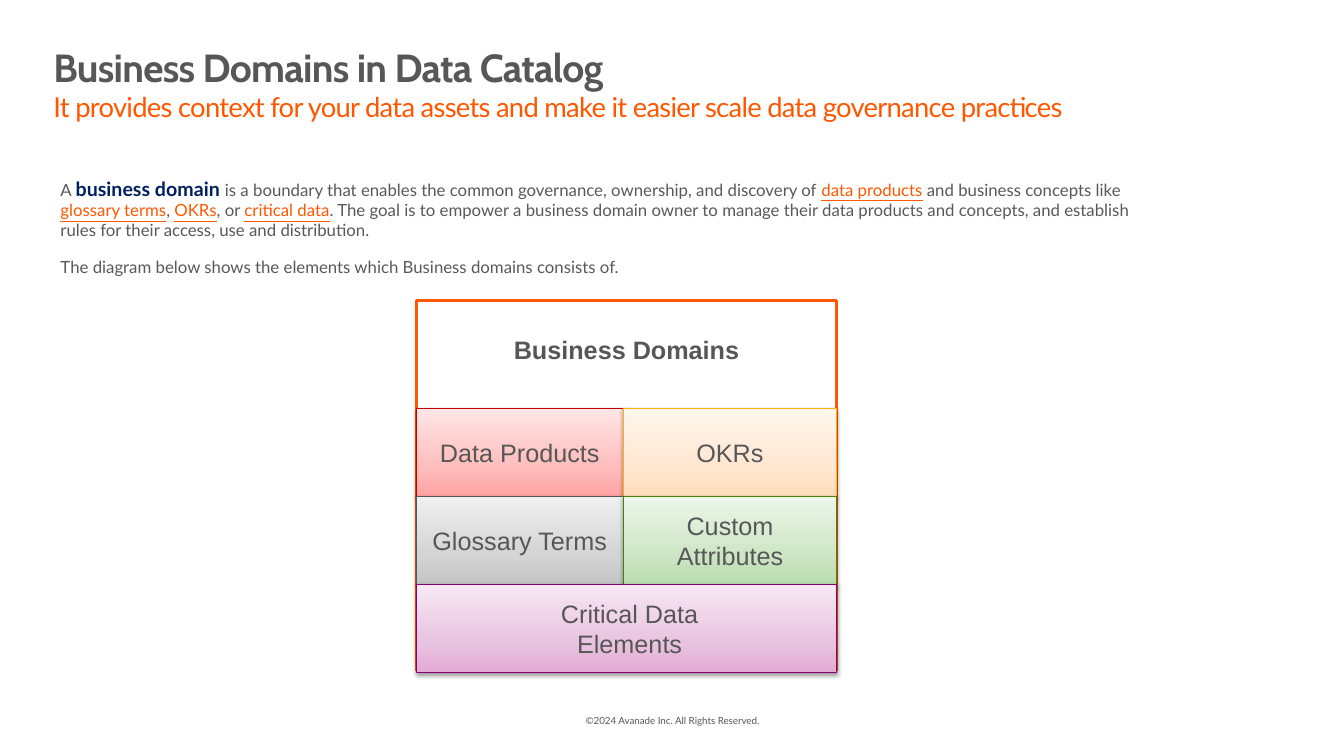
from copy import deepcopy

from lxml import etree
from pptx import Presentation
from pptx.dml.color import RGBColor
from pptx.enum import shapes, text
from pptx.oxml import ns
from pptx.util import Inches, Pt

COLORS = {
    "white": "FFFFFF",
    "black": "000000",
    "gray": "575757",
    "body": "595959",
    "navy": "002060",
    "orange": "FF5700",
    "link": "FF5800",
}
TILES = [
    ("Data Products", 0, 0, 1, "C40000", ["FFA3A3", "FFBEBE", "FFE6E6"]),
    ("OKRs", 0, 1, 2, "FFB10E", ["FFDDBD", "FFE7D1", "FFF6EE"]),
    ("Glossary Terms", 1, 0, 1, "555555", ["C3C3C3", "D5D5D5", "EFEFEF"]),
    ("Custom Attributes", 1, 1, 2, "468007", ["B9DCAD", "CEE6C6", "ECF6E9"]),
    ("Critical Data Elements", 2, 0, 2, "860075", ["E2AAD4", "E9C4E0", "F7E8F3"]),
]
DEFINITION = [
    ("A ", "plain"),
    ("business domain ", "term"),
    ("is a boundary that enables the common governance, ownership, and discovery of ", "plain"),
    ("data products", "link"),
    (" and business concepts like ", "plain"),
    ("glossary terms", "link"),
    (", ", "plain"),
    ("OKRs", "link"),
    (", or ", "plain"),
    ("critical data", "link"),
    (". The goal is to empower a business domain owner to manage their data products and "
     "concepts, and establish rules for their access, use and distribution. ", "plain"),
]


def rgb(name):
    return RGBColor.from_string(COLORS.get(name, name))


def style(font, name, size, color, bold=False):
    font.name, font.size, font.bold = name, Pt(size), bold
    font.color.rgb = rgb(color)


def place(shape, left, top, width, height):
    shape.left, shape.top = Inches(left), Inches(top)
    shape.width, shape.height = Inches(width), Inches(height)


def add_box(slide, left, top, width, height, label, size, font_name, bold=False):
    shape = slide.shapes.add_shape(shapes.MSO_SHAPE.RECTANGLE, Inches(left), Inches(top),
                                   Inches(width), Inches(height))
    shape.shadow.inherit = False
    shape.fill.solid()
    shape.fill.fore_color.rgb = rgb("white")
    shape.line.fill.background()
    frame = shape.text_frame
    frame.word_wrap = True
    frame.vertical_anchor = text.MSO_ANCHOR.MIDDLE
    paragraph = frame.paragraphs[0]
    paragraph.text = label
    paragraph.alignment = text.PP_ALIGN.CENTER
    style(paragraph.font, font_name, size, "gray", bold)
    return shape


def set_line(shape, color, width):
    shape.line.color.rgb = rgb(color)
    shape.line.width = Pt(width)


def set_gradient(shape, colors):
    shape.fill.gradient()
    shape.fill.gradient_angle = 90
    stop_list = shape.element.spPr.find(".//" + ns.qn("a:gsLst"))
    stop_list.append(deepcopy(stop_list[-1]))
    for stop, position, color in zip(shape.fill.gradient_stops, (0, 0.35, 1), colors):
        stop.position = position
        stop.color.rgb = rgb(color)


def add_shadow(shape):
    effects = shape.element.spPr.find(ns.qn("a:effectLst"))
    shadow = etree.SubElement(effects, ns.qn("a:outerShdw"), blurRad=str(Pt(3.1)),
                              dist=str(Pt(1.6)), dir="5400000", rotWithShape="0")
    color = etree.SubElement(shadow, ns.qn("a:srgbClr"), val=COLORS["black"])
    etree.SubElement(color, ns.qn("a:alpha"), val="38000")


def add_heading(slide, left, top, width, height):
    title = slide.shapes.title
    place(title, left, top, width, height)
    frame = title.text_frame
    frame.auto_size = text.MSO_AUTO_SIZE.NONE
    frame.vertical_anchor = text.MSO_ANCHOR.TOP
    paragraph = frame.paragraphs[0]
    paragraph.alignment = text.PP_ALIGN.LEFT
    heading = paragraph.add_run()
    heading.text = "Business Domains in Data Catalog"
    style(heading.font, "Cabin", 28, "gray", True)
    paragraph.add_line_break()
    subtitle = paragraph.add_run()
    subtitle.text = ("It provides context for your data assets and make it easier "
                     "scale data governance practices")
    style(subtitle.font, "Lato", 19.6, "orange")
    for run in paragraph.runs:
        run.font._element.set("spc", "-50")


def add_description(slide, left, top, width, height):
    body = slide.placeholders[1]
    place(body, left, top, width, height)
    frame = body.text_frame
    frame.auto_size = text.MSO_AUTO_SIZE.NONE
    frame.vertical_anchor = text.MSO_ANCHOR.TOP
    definition, lead_in = frame.paragraphs[0], frame.add_paragraph()
    for paragraph in (definition, lead_in):
        properties = paragraph._p.get_or_add_pPr()
        properties.set("marL", "0")
        properties.set("indent", "0")
        etree.SubElement(properties, ns.qn("a:buNone"))
    definition.space_before, definition.space_after = Pt(0), Pt(6)
    lead_in.space_before = Pt(6)
    looks = {"plain": (12, "body"), "term": (14, "navy"), "link": (12, "link")}
    for words, kind in DEFINITION:
        run = definition.add_run()
        run.text = words
        style(run.font, "Lato", *looks[kind], bold=kind == "term")
        if kind == "link":
            run.font.underline = True
    lead_in.text = "The diagram below shows the elements which Business domains consists of."
    style(lead_in.font, "Lato", 12, "body")


def add_domain_diagram(slide, left, top, width, height):
    frame = add_box(slide, left, top, width, height, "Business Domains", 18, "Arial", True)
    set_line(frame, "link", 2)
    frame.text_frame.vertical_anchor = text.MSO_ANCHOR.TOP
    frame.text_frame.margin_top = Inches(0.34)
    header_height, tile_height = 1.07, 0.875
    edges = [0, 2.05, width]
    for label, row, first, last, line_color, gradient in TILES:
        tile = add_box(slide, left + edges[first], top + header_height + row * tile_height,
                       edges[last] - edges[first], tile_height, label, 18, "Arial")
        set_line(tile, line_color, 0.75)
        set_gradient(tile, gradient)
        add_shadow(tile)
        if last - first == 2:
            tile.text_frame.margin_left = Inches(0.95)
            tile.text_frame.margin_right = Inches(0.89)


def main():
    presentation = Presentation()
    presentation.slide_width, presentation.slide_height = Inches(13.33), Inches(7.5)
    slide = presentation.slides.add_slide(presentation.slide_layouts[1])
    add_box(slide, 4.42, 6.95, 4.5, 0.4, "©2024 Avanade Inc. All Rights Reserved.", 7, "Lato")
    add_heading(slide, 0.43, 0.38, 12.05, 0.8)
    add_description(slide, 0.5, 1.7, 11.14, 1.1)
    add_domain_diagram(slide, 4.13, 2.98, 4.17, 3.67)
    presentation.save("out.pptx")


if __name__ == "__main__":
    main()
